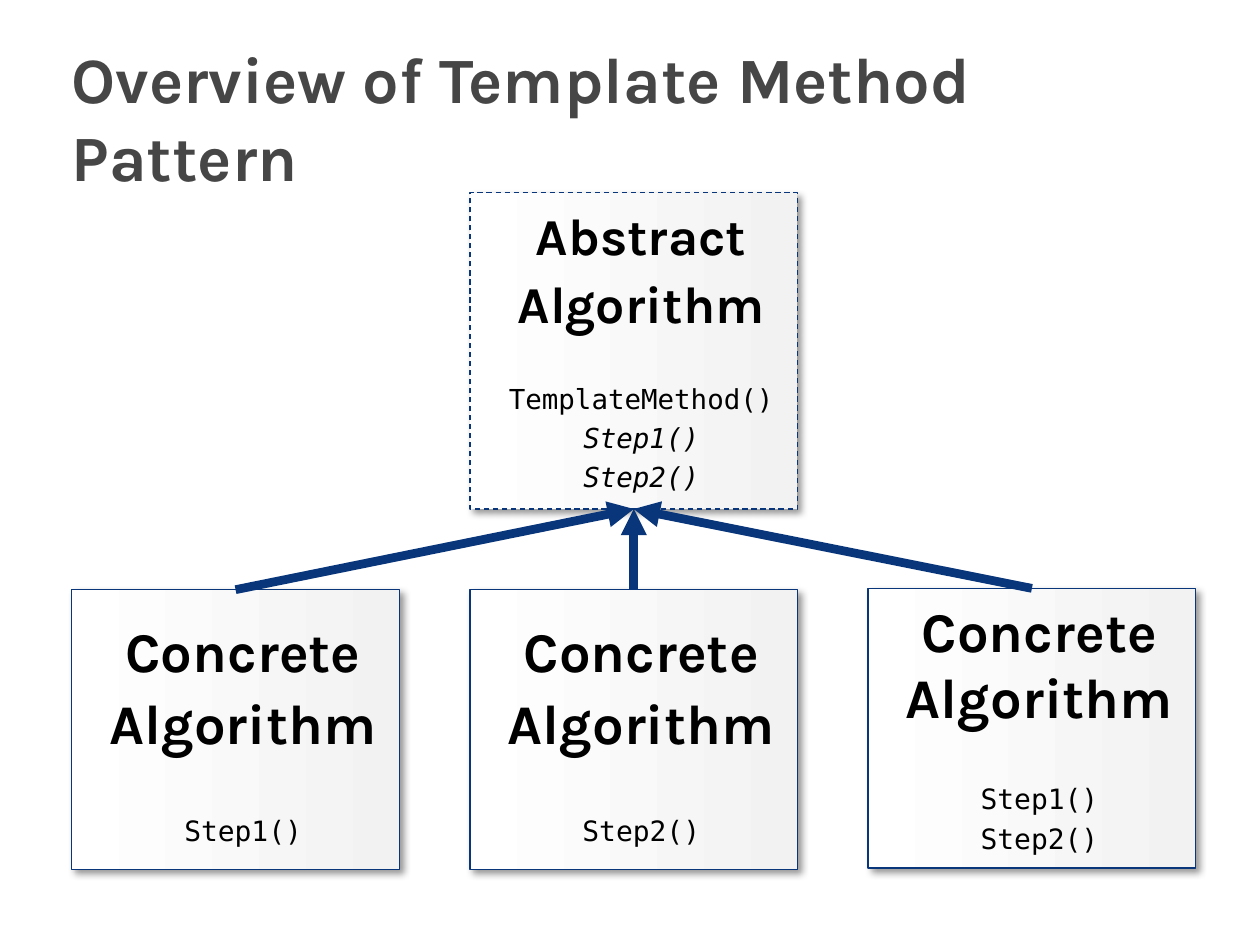
import pptx
import pptx.util
import pptx.dml.color
import pptx.enum.dml
import pptx.enum.shapes
import pptx.enum.text
from lxml import etree

TITLE = "Overview of Template Method Pattern"
ABSTRACT = dict(
    col=1, top=1.53, height=2.51, dash=True, spacing=0.97, head_size=29.6, step_size=15.7, gap=28,
    heads=["Abstract", "Algorithm"],
    steps=[("TemplateMethod()", False), ("Step1()", True), ("Step2()", True)],
)
CONCRETE = dict(
    top=4.68, height=2.22, dash=False, spacing=1.07, head_size=32, step_size=16, gap=32,
    heads=["Concrete Algorithm"],
)
CONCRETES = [
    dict(CONCRETE, col=0, steps=[("Step1()", False)]),
    dict(CONCRETE, col=1, steps=[("Step2()", False)]),
    dict(CONCRETE, col=2, top=4.67, spacing=0.97, gap=30, steps=[("Step1()", False), ("Step2()", False)]),
]
GRID = dict(left=0.57, pitch=3.16, width=2.6)
THEME = dict(
    head_font="Karla", code_font="DejaVu Sans Mono", title_size=36.9,
    title="464646", text="000000", line="09367A", fill=("FFFFFF", "F2F2F2"),
    border=0.75, arrow=5, before=4, indent=0.12,
)
A = "http://schemas.openxmlformats.org/drawingml/2006/main"
SHADOW = (
    f'<a:outerShdw xmlns:a="{A}" blurRad="50800" dist="38100" dir="2700000" algn="tl" rotWithShape="0">'
    '<a:srgbClr val="000000"><a:alpha val="40000"/></a:srgbClr></a:outerShdw>'
)
Inches, Pt = pptx.util.Inches, pptx.util.Pt


def rgb(name):
    return pptx.dml.color.RGBColor.from_string(name)


def style(p, font, size, color, bold=False, italic=False):
    for r in p.runs:
        r.font.name, r.font.size = font, Pt(size)
        r.font.bold, r.font.italic = bold, italic
        r.font.color.rgb = rgb(color)


def add_title(s):
    sp = s.shapes.add_textbox(Inches(0.47), Inches(0.3), Inches(9.03), Inches(1.25))
    tf = sp.text_frame
    tf.word_wrap = True
    tf.vertical_anchor = pptx.enum.text.MSO_ANCHOR.MIDDLE
    tf.text = TITLE
    style(tf.paragraphs[0], THEME["head_font"], THEME["title_size"], THEME["title"], bold=True)


def add_box(s, box):
    sp = s.shapes.add_shape(
        pptx.enum.shapes.MSO_SHAPE.RECTANGLE,
        Inches(GRID["left"] + box["col"] * GRID["pitch"]), Inches(box["top"]),
        Inches(GRID["width"]), Inches(box["height"]),
    )
    sp.fill.gradient()
    sp.fill.gradient_angle = 0
    for stop, color in zip(sp.fill.gradient_stops, THEME["fill"]):
        stop.color.rgb = rgb(color)
    sp.line.color.rgb = rgb(THEME["line"])
    sp.line.width = Pt(THEME["border"])
    if box["dash"]:
        sp.line.dash_style = pptx.enum.dml.MSO_LINE.DASH
    sp.shadow.inherit = False
    sp._element.spPr.find(f"{{{A}}}effectLst").append(etree.fromstring(SHADOW))

    tf = sp.text_frame
    tf.word_wrap = True
    tf.vertical_anchor = pptx.enum.text.MSO_ANCHOR.MIDDLE
    tf.text = "\n".join(box["heads"] + [name for name, _ in box["steps"]])
    count = len(box["heads"])
    for i, p in enumerate(tf.paragraphs):
        p.alignment = pptx.enum.text.PP_ALIGN.CENTER
        p.line_spacing = box["spacing"]
        p.space_before = Pt(box["gap"] if i == count else THEME["before"])
        pPr = p._p.get_or_add_pPr()
        pPr.set("marL", str(Inches(THEME["indent"])))
        pPr.set("indent", "0")
        if i < count:
            style(p, THEME["head_font"], box["head_size"], THEME["text"], bold=True)
        else:
            italic = box["steps"][i - count][1]
            style(p, THEME["code_font"], box["step_size"], THEME["text"], italic=italic)
    return sp


def add_arrow(s, child, parent):
    line = s.shapes.add_connector(pptx.enum.shapes.MSO_CONNECTOR.STRAIGHT, 0, 0, 0, 0)
    line.begin_connect(child, 0)
    line.end_connect(parent, 2)
    line.line.color.rgb = rgb(THEME["line"])
    line.line.width = Pt(THEME["arrow"])
    etree.SubElement(line.line._get_or_add_ln(), f"{{{A}}}tailEnd", type="triangle")
    etree.SubElement(line._element.spPr, f"{{{A}}}effectLst")


def main():
    prs = pptx.Presentation()
    prs.slide_width, prs.slide_height = Inches(10), Inches(7.5)
    s = prs.slides.add_slide(prs.slide_layouts[6])
    add_title(s)
    parent = add_box(s, ABSTRACT)
    for box in CONCRETES:
        add_arrow(s, add_box(s, box), parent)
    prs.save("out.pptx")


if __name__ == "__main__":
    main()
